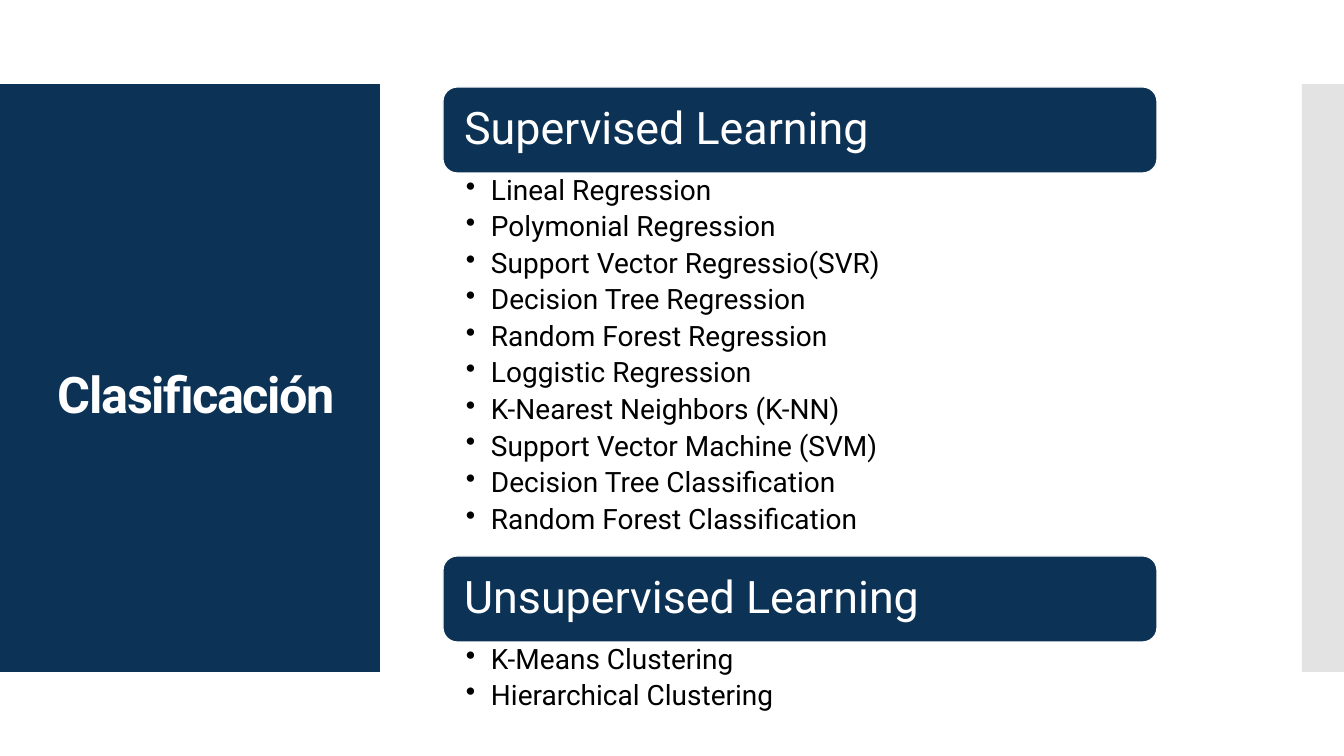
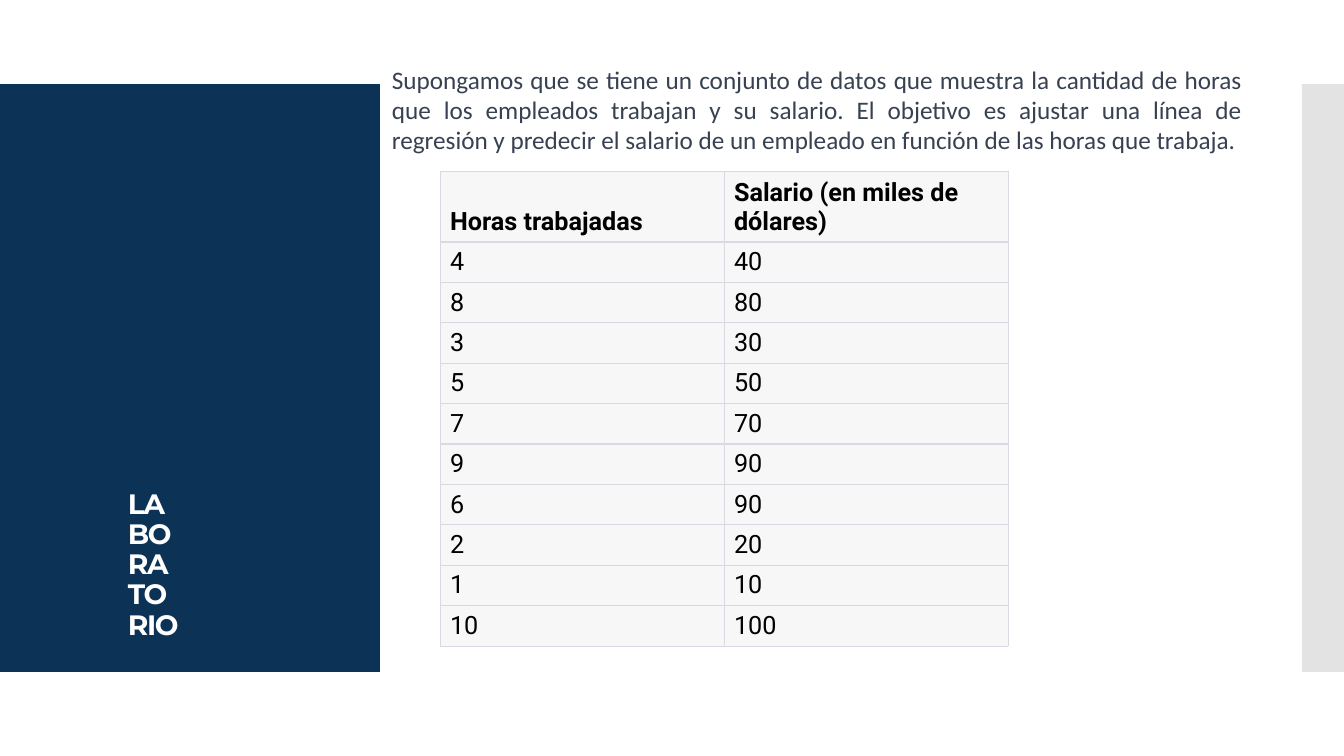
from lxml.etree import SubElement
from pptx import Presentation
from pptx.dml.color import RGBColor
from pptx.enum.shapes import MSO_SHAPE
from pptx.enum.text import MSO_ANCHOR, PP_ALIGN
from pptx.oxml.ns import qn
from pptx.util import Pt

EMU_PER_PX = 914400 / 100.8

NAVY = RGBColor(0x0C, 0x32, 0x55)
GREY = RGBColor(0xC8, 0xC8, 0xC8)
WHITE = RGBColor(0xFF, 0xFF, 0xFF)
BLACK = RGBColor(0x00, 0x00, 0x00)
SLATE = RGBColor(0x37, 0x41, 0x51)
CELL_FILL = RGBColor(0xF7, 0xF7, 0xF8)
CELL_BORDER = RGBColor(0xD9, 0xD9, 0xE3)

BODY_FONT = "Roboto"
SECTION_LEFT, SECTION_TOP, SECTION_WIDTH = 443, 87, 714
HEADING_HEIGHT = 86
ITEM_HEIGHT = 38

SECTIONS = [
    ("Supervised Learning", [
        "Lineal Regression",
        "Polymonial Regression",
        "Support Vector Regressio(SVR)",
        "Decision Tree Regression",
        "Random Forest Regression",
        "Loggistic Regression",
        "K-Nearest Neighbors (K-NN)",
        "Support Vector Machine (SVM)",
        "Decision Tree Classification",
        "Random Forest Classification",
    ]),
    ("Unsupervised Learning", ["K-Means Clustering", "Hierarchical Clustering"]),
]

PROBLEM = (
    "Supongamos que se tiene un conjunto de datos que muestra la cantidad de horas "
    "que los empleados trabajan y su salario. El objetivo es ajustar una línea de "
    "regresión y predecir el salario de un empleado en función de las horas que trabaja."
)
SALARY_HEADER = ("Horas trabajadas", "Salario (en miles de dólares)")
SALARIES = [(4, 40), (8, 80), (3, 30), (5, 50), (7, 70),
            (9, 90), (6, 90), (2, 20), (1, 10), (10, 100)]


def px(length):
    return round(length * EMU_PER_PX)


def box(left, top, width, height):
    return px(left), px(top), px(width), px(height)


def format_runs(paragraph, size, color, font=BODY_FONT, bold=False):
    for run in paragraph.runs:
        run.font.size = Pt(size)
        run.font.name = font
        run.font.bold = bold
        run.font.color.rgb = color


def add_block(slide, preset, area, color):
    block = slide.shapes.add_shape(preset, *box(*area))
    block.shadow.inherit = False
    block.fill.solid()
    block.fill.fore_color.rgb = color
    block.line.fill.background()
    return block


def add_text(slide, area, text):
    frame = slide.shapes.add_textbox(*box(*area)).text_frame
    frame.word_wrap = True
    frame.text = text
    return frame


def add_bands(slide):
    add_block(slide, MSO_SHAPE.RECTANGLE, (0, 84, 380, 588), NAVY)
    edge = add_block(slide, MSO_SHAPE.RECTANGLE, (1302, 84, 42, 588), GREY)
    tint = edge.fill._xPr.find(qn("a:solidFill"))[0]
    SubElement(tint, qn("a:alpha"), val="50000")


def add_title(slide, area, text, size, font):
    frame = add_text(slide, area, text)
    frame.vertical_anchor = MSO_ANCHOR.BOTTOM
    paragraph = frame.paragraphs[0]
    paragraph.line_spacing = 0.9
    format_runs(paragraph, size, WHITE, font, bold=True)
    for run in paragraph.runs:
        run.font._element.set("spc", "-100")


def add_heading(slide, top, text):
    area = (SECTION_LEFT, top, SECTION_WIDTH, HEADING_HEIGHT)
    heading = add_block(slide, MSO_SHAPE.ROUNDED_RECTANGLE, area, NAVY)
    heading.line.color.rgb = WHITE
    heading.line.width = Pt(0.85)
    frame = heading.text_frame
    frame.margin_left = px(17)
    frame.vertical_anchor = MSO_ANCHOR.MIDDLE
    frame.text = text
    paragraph = frame.paragraphs[0]
    paragraph.alignment = PP_ALIGN.LEFT
    paragraph.line_spacing = 0.9
    format_runs(paragraph, 32, WHITE)


def add_bullets(slide, top, height, items):
    frame = add_text(slide, (SECTION_LEFT, top, SECTION_WIDTH, height), "\n".join(items))
    frame.margin_left, frame.margin_right = px(23), px(16)
    frame.margin_top = frame.margin_bottom = px(3)
    for paragraph in frame.paragraphs:
        properties = paragraph._p.get_or_add_pPr()
        properties.set("marL", str(px(25)))
        properties.set("indent", str(-px(25)))
        SubElement(properties, qn("a:buChar"), char="•")
        paragraph.line_spacing = 0.9
        paragraph.space_after = Pt(4.5)
        format_runs(paragraph, 20, BLACK)


def add_sections(slide):
    top = SECTION_TOP
    for heading, items in SECTIONS:
        add_heading(slide, top, heading)
        top += HEADING_HEIGHT
        height = ITEM_HEIGHT * len(items) + 3
        add_bullets(slide, top, height, items)
        top += height


def add_borders(cell, top_width, bottom_width):
    properties = cell._tc.get_or_add_tcPr()
    widths = {"a:lnL": 0.6, "a:lnR": 0.6, "a:lnT": top_width, "a:lnB": bottom_width}
    for side, width in widths.items():
        border = SubElement(properties, qn(side), w=str(Pt(width)))
        fill = SubElement(border, qn("a:solidFill"))
        SubElement(fill, qn("a:srgbClr"), val=str(CELL_BORDER))


def add_salary_table(slide):
    records = [SALARY_HEADER, *SALARIES]
    last = len(records) - 1
    header_height, body_height = 71, 404
    area = box(440, 171, 568, header_height + body_height)
    table = slide.shapes.add_table(len(records), len(SALARY_HEADER), *area).table
    table.first_row = False
    table.horz_banding = False
    for index, record in enumerate(records):
        is_header = index == 0
        table.rows[index].height = px(header_height) if is_header else px(body_height) // last
        for column, value in enumerate(record):
            cell = table.cell(index, column)
            add_borders(cell, 0.6 if is_header else 1, 0.6 if index == last else 1)
            cell.fill.solid()
            cell.fill.fore_color.rgb = CELL_FILL
            cell.vertical_anchor = MSO_ANCHOR.BOTTOM if is_header else MSO_ANCHOR.MIDDLE
            cell.text_frame.text = str(value)
            format_runs(cell.text_frame.paragraphs[0], 18, BLACK, bold=is_header)


def add_problem(slide):
    paragraph = add_text(slide, (382, 59, 870, 102), PROBLEM).paragraphs[0]
    paragraph.alignment = PP_ALIGN.JUSTIFY
    format_runs(paragraph, 18, SLATE, "Calibri")


def add_slide(presentation):
    slide = presentation.slides.add_slide(presentation.slide_layouts[6])
    add_bands(slide)
    return slide


def main():
    presentation = Presentation()
    presentation.slide_width = px(1344)
    presentation.slide_height = px(756)

    classification = add_slide(presentation)
    add_title(classification, (48, 328, 326, 101), "Clasificación", 36, BODY_FONT)
    add_sections(classification)

    laboratory = add_slide(presentation)
    add_title(laboratory, (118, 111, 73, 535), "LABORATORIO", 20, "Montserrat")
    add_problem(laboratory)
    add_salary_table(laboratory)

    presentation.save("out.pptx")


if __name__ == "__main__":
    main()
